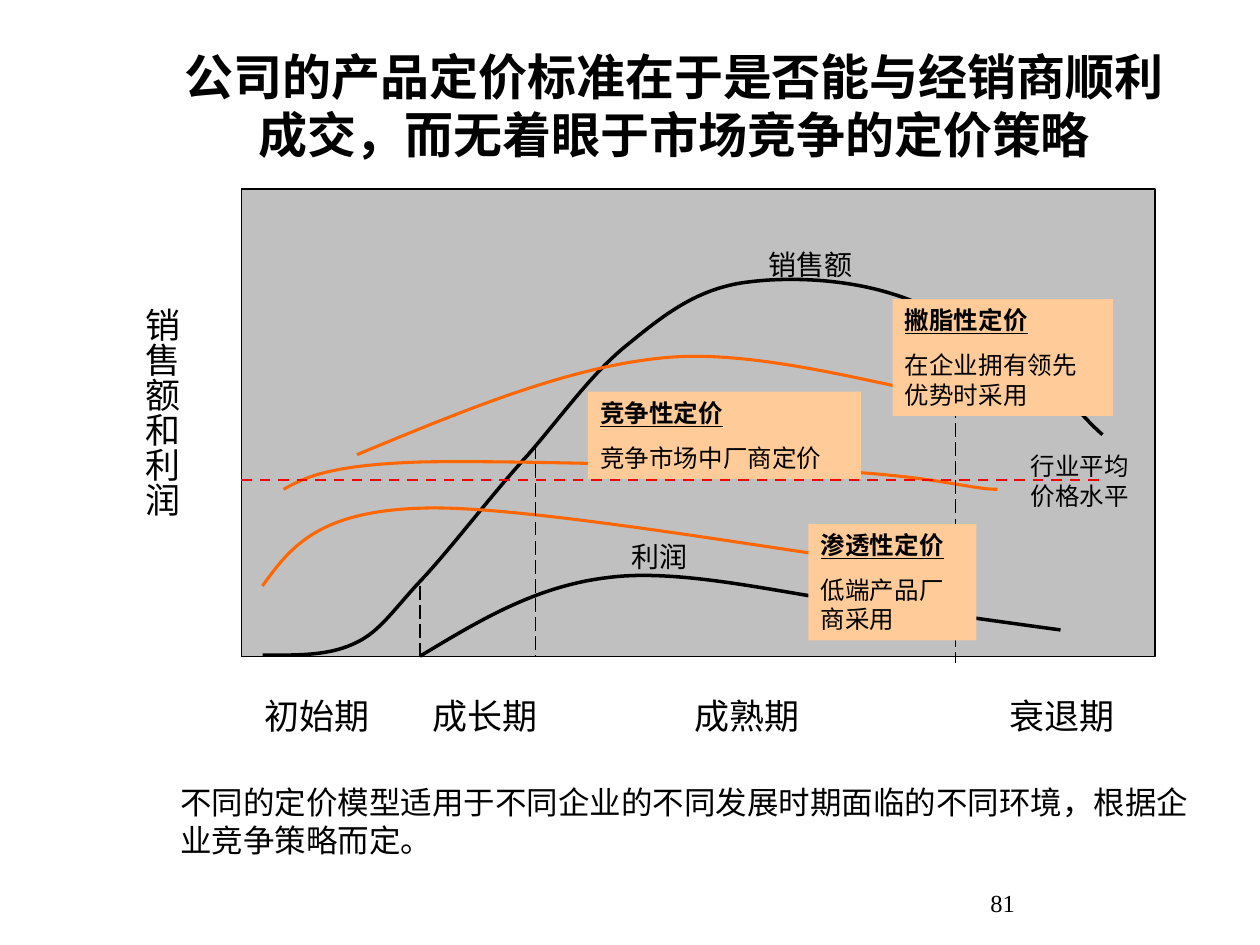
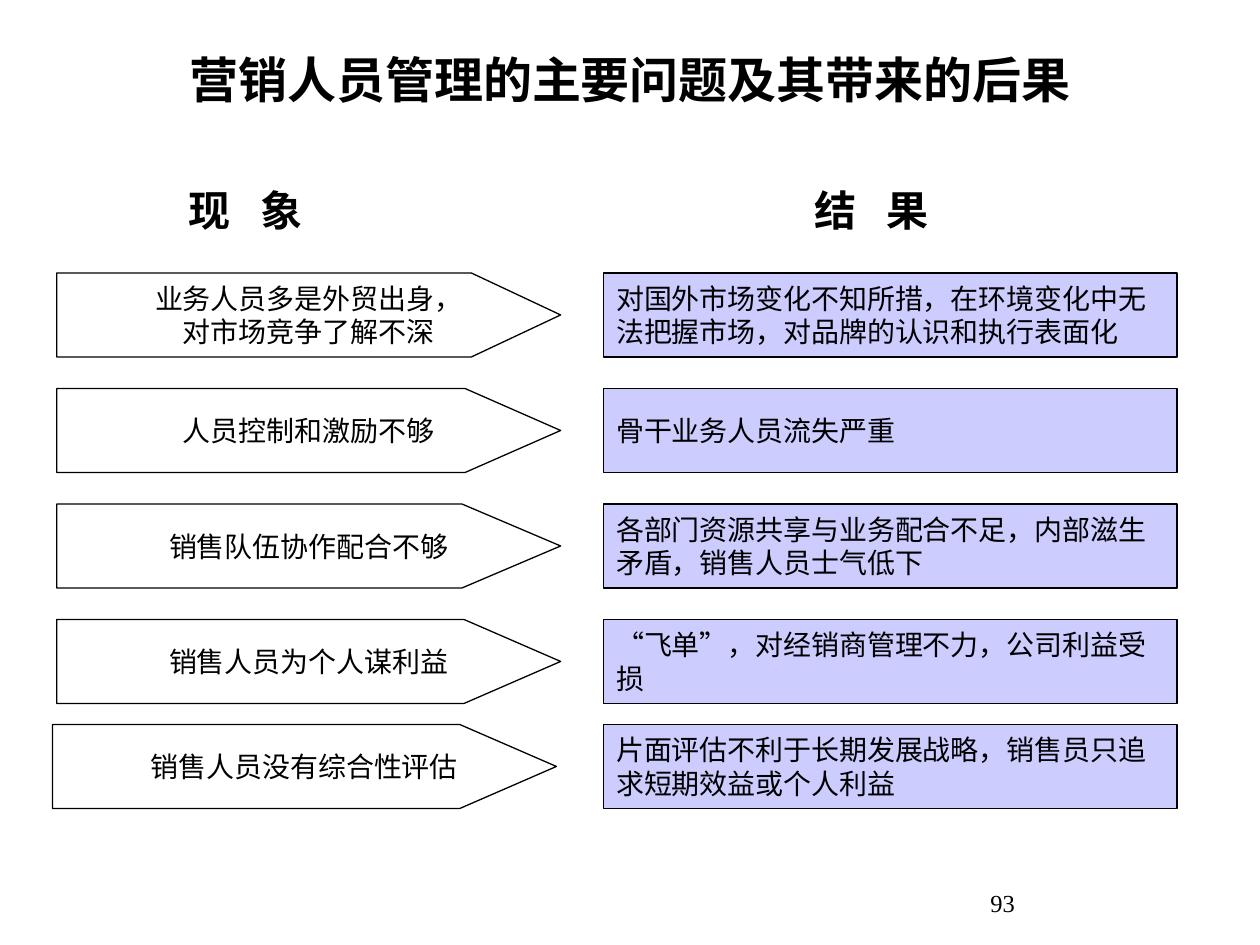
"""Build two slides: pricing over the product life cycle, and sales staff problems."""
import pptx
import pptx.util
import pptx.dml.color
import pptx.enum.dml
import pptx.enum.lang
import pptx.enum.shapes
import pptx.enum.text
import pptx.oxml.ns
from lxml import etree

PX = 7620
COLORS = {"ink": "000000", "plot": "C0C0C0", "callout": "FFCC99", "price": "FF6600",
          "average": "FF0000", "result": "CCCCFF", "paper": "FFFFFF"}
RGB = {name: pptx.dml.color.RGBColor.from_string(c) for name, c in COLORS.items()}
SERIF, SANS = "Times New Roman", "Noto Sans CJK SC"
SHAPE = pptx.enum.shapes.MSO_SHAPE
ALIGN = pptx.enum.text.PP_ALIGN
MIDDLE = pptx.enum.text.MSO_ANCHOR.MIDDLE
DASH = pptx.enum.dml.MSO_LINE
qn = pptx.oxml.ns.qn


def write(sp, text, size, font=SERIF, bold=False, align=ALIGN.LEFT, anchor=None, wrap=True):
    """Fill a shape with text and format every paragraph alike."""
    tf = sp.text_frame
    tf.word_wrap = wrap
    tf.vertical_anchor = anchor or pptx.enum.text.MSO_ANCHOR.TOP
    tf.text = text
    for p in tf.paragraphs:
        p.alignment = align
        p.line_spacing = pptx.util.Pt(size * 1.2)
        for r in p.runs:
            r.font.size = pptx.util.Pt(size)
            r.font.bold = bold
            r.font.color.rgb = RGB["ink"]
            r.font.name = font
            r.font.language_id = pptx.enum.lang.MSO_LANGUAGE_ID.SIMPLIFIED_CHINESE
            etree.SubElement(r.font._element, qn("a:ea"), typeface=SANS)
    return tf


def paint(sp, fill, line, width=0.75):
    """Give a shape its fill and outline, or none of either."""
    sp.shadow.inherit = False
    for part, color in ((sp.fill, fill), (sp.line.fill, line)):
        if color:
            part.solid()
            part.fore_color.rgb = RGB[color]
        else:
            part.background()
    if line:
        sp.line.width = pptx.util.Pt(width)


prs = pptx.Presentation()
prs.slide_width, prs.slide_height = 1200 * PX, 900 * PX
titles = [
    ("公司的产品定价标准在于是否能与经销商顺利成交，而无着眼于市场竞争的定价策略",
     (155, 60, 974, 80), SERIF, "81"),
    ("营销人员管理的主要问题及其带来的后果", (90, 30, 1020, 90), SANS, "93"),
]
for title, box, font, number in titles:
    s = prs.slides.add_slide(prs.slide_layouts[6])
    sp = s.shapes.add_textbox(*[v * PX for v in box])
    write(sp, title, 28, font, True, ALIGN.CENTER, MIDDLE)
    sp = s.shapes.add_textbox(770 * PX, 840 * PX, 370 * PX, 30 * PX)
    write(sp, number, 14, align=ALIGN.CENTER)

s = prs.slides[0]
plot = s.shapes.add_shape(SHAPE.RECTANGLE, 230 * PX, 180 * PX, 870 * PX, 445 * PX)
paint(plot, "plot", "ink")

curves = [
    ("ink", 2, [(250, 624), (280, 624), (310, 625), (335, 614), (359, 604), (370, 587),
                (397, 557), (426, 527), (469, 470), (503, 433), (536, 395), (564, 355),
                (598, 328), (631, 301), (660, 278), (703, 270), (745, 263), (803, 265),
                (850, 280), (898, 294), (955, 336), (986, 356), (1019, 377), (1028, 395),
                (1050, 414)]),
    ("ink", 2, [(400, 625), (455, 592), (510, 558), (580, 550), (650, 541), (749, 566),
                (820, 575), (892, 583), (950, 592), (1010, 600)]),
    ("price", 1.75, [(250, 558), (276, 522), (302, 487), (401, 484), (499, 480),
                     (763, 528), (841, 536), (920, 546), (895, 541), (871, 536)]),
    ("price", 1.75, [(340, 433), (439, 392), (539, 350), (630, 341), (721, 331),
                     (847, 370), (890, 374)]),
    ("price", 1.75, [(270, 466), (290, 455), (312, 443), (400, 440), (488, 438),
                     (708, 445), (800, 449), (892, 454), (925, 466), (950, 466)]),
]
for color, width, points in curves:
    builder = s.shapes.build_freeform(*points[0], scale=PX)
    builder.add_line_segments(points[1:], close=False)
    sp = builder.convert_to_shape()
    paint(sp, None, color, width)
    outline = sp._element.find(".//" + qn("a:path"))
    steps = outline.findall(qn("a:lnTo"))
    for i in range(0, len(steps), 3):
        bezier = etree.SubElement(outline, qn("a:cubicBezTo"))
        for step in steps[i:i + 3]:
            bezier.append(step[0])
            outline.remove(step)

lines = [
    (400, 558, 400, 625, "ink", 1, DASH.LONG_DASH),
    (510, 424, 510, 625, "ink", 1, DASH.LONG_DASH),
    (910, 312, 910, 631, "ink", 1, DASH.LONG_DASH),
    (230, 457, 1050, 457, "average", 1.5, DASH.DASH),
]
for x1, y1, x2, y2, color, width, dash in lines:
    line = s.shapes.add_connector(pptx.enum.shapes.MSO_CONNECTOR.STRAIGHT,
                                  x1 * PX, y1 * PX, x2 * PX, y2 * PX)
    line.line.color.rgb = RGB[color]
    line.line.width = pptx.util.Pt(width)
    line.line.dash_style = dash
    etree.SubElement(line._element.spPr, qn("a:effectLst"))

labels = [
    ("初始期", 240, 656, 130, 53, 20),
    ("成长期", 400, 656, 130, 53, 20),
    ("成熟期", 650, 656, 130, 53, 20),
    ("衰退期", 950, 656, 130, 53, 20),
    ("销售额", 720, 230, 110, 44, 16),
    ("利润", 590, 508, 90, 44, 16),
    ("行业平均价格水平", 970, 424, 120, 68, 14),
    ("不同的定价模型适用于不同企业的不同发展时期面临的不同环境，根据企业竞争策略而定。",
     160, 740, 1000, 84, 18),
]
for text, x, y, w, h, size in labels:
    write(s.shapes.add_textbox(x * PX, y * PX, w * PX, h * PX), text, size)

axis = s.shapes.add_textbox(116 * PX, 281 * PX, 64 * PX, 252 * PX)
tf = write(axis, "销售额和利润", 20)
tf.margin_left = tf.margin_right = 6 * PX
tf.margin_top = tf.margin_bottom = 12 * PX
tf._txBody.bodyPr.set("vert", "eaVert")

callouts = [
    ("渗透性定价\n低端产品厂商采用", 770, 499, 160, 111),
    ("撇脂性定价\n在企业拥有领先优势时采用", 850, 285, 210, 111),
    ("竞争性定价\n竞争市场中厂商定价", 560, 373, 260, 83),
]
for text, x, y, w, h in callouts:
    sp = s.shapes.add_shape(SHAPE.RECTANGLE, x * PX, y * PX, w * PX, h * PX)
    paint(sp, "callout", None)
    head, body = write(sp, text, 14).paragraphs
    head.runs[0].font.bold = head.runs[0].font.underline = True
    body.space_before = pptx.util.Pt(8.8)

s = prs.slides[1]
for text, x in (("现 象", 144), ("结 果", 740)):
    sp = s.shapes.add_textbox(x * PX, 170 * PX, 180 * PX, 60 * PX)
    tf = write(sp, text, 24, bold=True, align=ALIGN.CENTER)
    tf.paragraphs[0].runs[0].font._element.set("spc", "600")

rows = [
    (54, 260, 449, "业务人员多是外贸出身，\n对市场竞争了解不深",
     "对国外市场变化不知所措，在环境变化中无法把握市场，对品牌的认识和执行表面化"),
    (54, 370, 443, "人员控制和激励不够", "骨干业务人员流失严重"),
    (54, 480, 440, "销售队伍协作配合不够",
     "各部门资源共享与业务配合不足，内部滋生矛盾，销售人员士气低下"),
    (54, 590, 442, "销售人员为个人谋利益", "“飞单”，对经销商管理不力，公司利益受损"),
    (50, 690, 438, "销售人员没有综合性评估",
     "片面评估不利于长期发展战略，销售员只追求短期效益或个人利益"),
]
for x, y, neck, problem, result in rows:
    builder = s.shapes.build_freeform(x, y, scale=PX)
    builder.add_line_segments([(neck, y), (x + 480, y + 40), (neck, y + 80), (x, y + 80)])
    sp = builder.convert_to_shape()
    paint(sp, "paper", "ink")
    write(sp, problem, 16, SANS, align=ALIGN.CENTER, anchor=MIDDLE, wrap=False)
    sp = s.shapes.add_shape(SHAPE.RECTANGLE, 575 * PX, y * PX, 546 * PX, 80 * PX)
    paint(sp, "result", "ink")
    write(sp, result, 16, SANS, anchor=MIDDLE)

prs.save("out.pptx")
